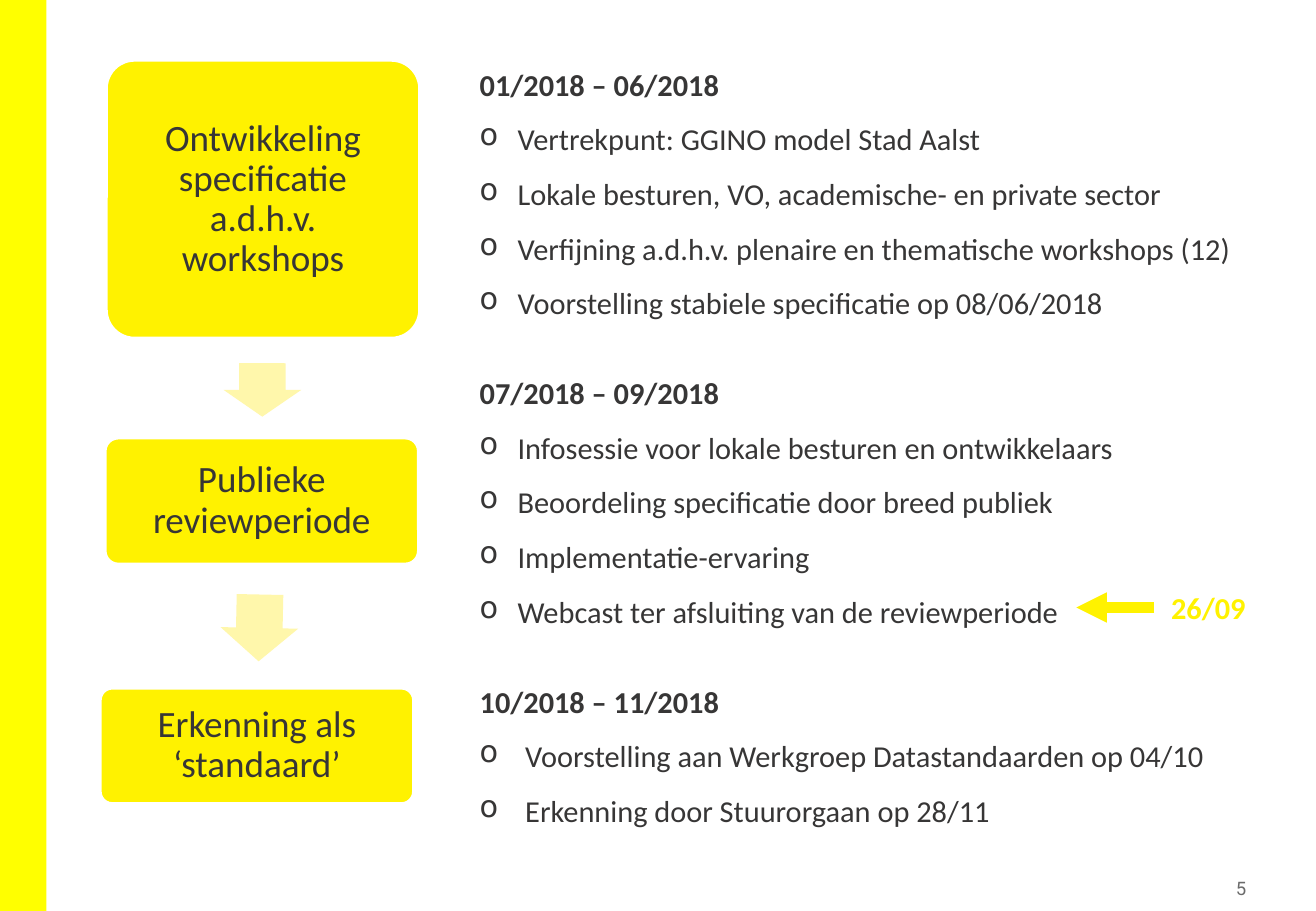
from lxml import etree
from pptx import Presentation
from pptx.dml.color import RGBColor
from pptx.enum.shapes import MSO_CONNECTOR, MSO_SHAPE
from pptx.enum.text import MSO_ANCHOR, PP_ALIGN
from pptx.oxml.ns import qn
from pptx.util import Pt

RECTANGLE = MSO_SHAPE.RECTANGLE
ROUNDED = MSO_SHAPE.ROUNDED_RECTANGLE
DOWN_ARROW = MSO_SHAPE.DOWN_ARROW
STRAIGHT = MSO_CONNECTOR.STRAIGHT
MIDDLE = MSO_ANCHOR.MIDDLE
TOP = MSO_ANCHOR.TOP
LEFT, CENTER, RIGHT = PP_ALIGN.LEFT, PP_ALIGN.CENTER, PP_ALIGN.RIGHT

COLOURS = {
    "band": "FFFF00",
    "step": "FFF200",
    "arrow": "FFF7AB",
    "text": "373636",
    "number": "6B6B6B",
    "white": "FFFFFF",
}
STEP_FONT = {"name": "Calibri", "size": Pt(22), "bold": False}
BODY_FONT = {"name": "Calibri", "size": Pt(18), "bold": False}
HEAD_FONT = {**BODY_FONT, "bold": True}
NUMBER_FONT = {"name": "Roboto", "size": Pt(11), "bold": False}

# Each step: label, box (left, top, width, height)
STEPS = [
    ("Ontwikkeling specificatie a.d.h.v. workshops", (63.4, 36.1, 185, 164)),
    ("Publieke reviewperiode", (62.7, 260, 185, 74)),
    ("Erkenning als ‘standaard’", (59.8, 408.3, 185, 67.7)),
]
# Each arrow between steps: box, rotation
ARROWS = [((132.5, 215.3, 46, 31.7), 0.1), ((130.7, 352.4, 46, 39.6), 1.2)]

# Each period: box, heading, line spacing of the heading, bullet indent, points
PERIODS = [
    ((277.2, 35.4, 461.5, 181.5), "01/2018 – 06/2018", 1.0, 22.5, [
        "Vertrekpunt: GGINO model Stad Aalst",
        "Lokale besturen, VO, academische- en private sector",
        "Verfijning a.d.h.v. plenaire en thematische workshops (12)",
        "Voorstelling stabiele specificatie op 08/06/2018",
    ]),
    ((277.2, 207.4, 461.5, 167), "07/2018 – 09/2018", 1.5, 22.5, [
        "Infosessie voor lokale besturen en ontwikkelaars",
        "Beoordeling specificatie door breed publiek",
        "Implementatie-ervaring",
        "Webcast ter afsluiting van de reviewperiode",
    ]),
    ((277.2, 390.4, 461.5, 102), "10/2018 – 11/2018", 1.5, 27, [
        "Voorstelling aan Werkgroep Datastandaarden op 04/10",
        "Erkenning door Stuurorgaan op 28/11",
    ]),
]


def points(box):
    return [Pt(value) for value in box]


def colour(name):
    return RGBColor.from_string(COLOURS[name])


def write(para, text, font, ink="text", spacing=1.0, align=LEFT):
    para.alignment = align
    para.line_spacing = spacing
    span = para.add_run()
    span.text = text
    for key, value in font.items():
        setattr(span.font, key, value)
    span.font.color.rgb = colour(ink)


def add_bullet(para, indent):
    properties = para._p.get_or_add_pPr()
    properties.set("marL", str(Pt(indent)))
    properties.set("indent", str(-Pt(indent)))
    etree.SubElement(properties, qn("a:buChar"), char="o")


def add_filled(page, kind, box, fill):
    shape = page.shapes.add_shape(kind, *points(box))
    shape.shadow.inherit = False
    shape.fill.solid()
    shape.fill.fore_color.rgb = colour(fill)
    shape.line.fill.background()
    return shape


def add_text_box(page, box, wrap=True, anchor=TOP):
    frame = page.shapes.add_textbox(*points(box)).text_frame
    frame.word_wrap = wrap
    frame.vertical_anchor = anchor
    return frame


def add_step(page, label, box):
    step = add_filled(page, ROUNDED, box, "step")
    step.adjustments[0] = 0.1
    step.line.color.rgb = colour("white")
    step.line.width = Pt(1)
    frame = step.text_frame
    frame.word_wrap = True
    frame.vertical_anchor = MIDDLE
    for side in ("left", "top", "right", "bottom"):
        setattr(frame, f"margin_{side}", Pt(6.5))
    write(frame.paragraphs[0], label, STEP_FONT, spacing=0.9, align=CENTER)


def add_step_arrow(page, box, rotation):
    arrow = add_filled(page, DOWN_ARROW, box, "arrow")
    arrow.adjustments[0] = 0.6
    arrow.adjustments[1] = 0.5
    arrow.rotation = rotation


def add_period(page, box, heading, heading_spacing, indent, items):
    frame = add_text_box(page, box)
    write(frame.paragraphs[0], heading, HEAD_FONT, spacing=heading_spacing)
    for item in items:
        para = frame.add_paragraph()
        write(para, item, BODY_FONT, spacing=1.5)
        add_bullet(para, indent)


def add_date_marker(page, box):
    """Arrow pointing left, with the date to its right."""
    left, top, width, height = box
    middle = top + height / 2
    pointer = page.shapes.add_connector(
        STRAIGHT, *points((left + 46, middle, left, middle)))
    pointer.line.color.rgb = colour("step")
    pointer.line.width = Pt(6)
    etree.SubElement(pointer.line._get_or_add_ln(), qn("a:tailEnd"), type="triangle")
    etree.SubElement(pointer._element.spPr, qn("a:effectLst"))
    frame = add_text_box(page, (left + 49, top, width - 49, height), wrap=False)
    write(frame.paragraphs[0], "26/09", HEAD_FONT, "step")


def add_page_number(page, box):
    frame = add_text_box(page, box, anchor=MIDDLE)
    frame.margin_left = frame.margin_right = Pt(3.6)
    write(frame.paragraphs[0], "5", NUMBER_FONT, "number", align=RIGHT)


def main():
    deck = Presentation()
    deck.slide_width, deck.slide_height = Pt(780), Pt(540)
    page = deck.slides.add_slide(deck.slide_layouts[6])

    # Side band and page number
    add_filled(page, RECTANGLE, (0, 0, 27.5, 540), "band")
    add_page_number(page, (684, 516, 58.3, 21))

    # Steps on the left
    for label, box in STEPS:
        add_step(page, label, box)
    for box, rotation in ARROWS:
        add_step_arrow(page, box, rotation)

    # Periods on the right
    for period in PERIODS:
        add_period(page, *period)
    add_date_marker(page, (638, 345.6, 108, 29))

    deck.save("out.pptx")


if __name__ == "__main__":
    main()
